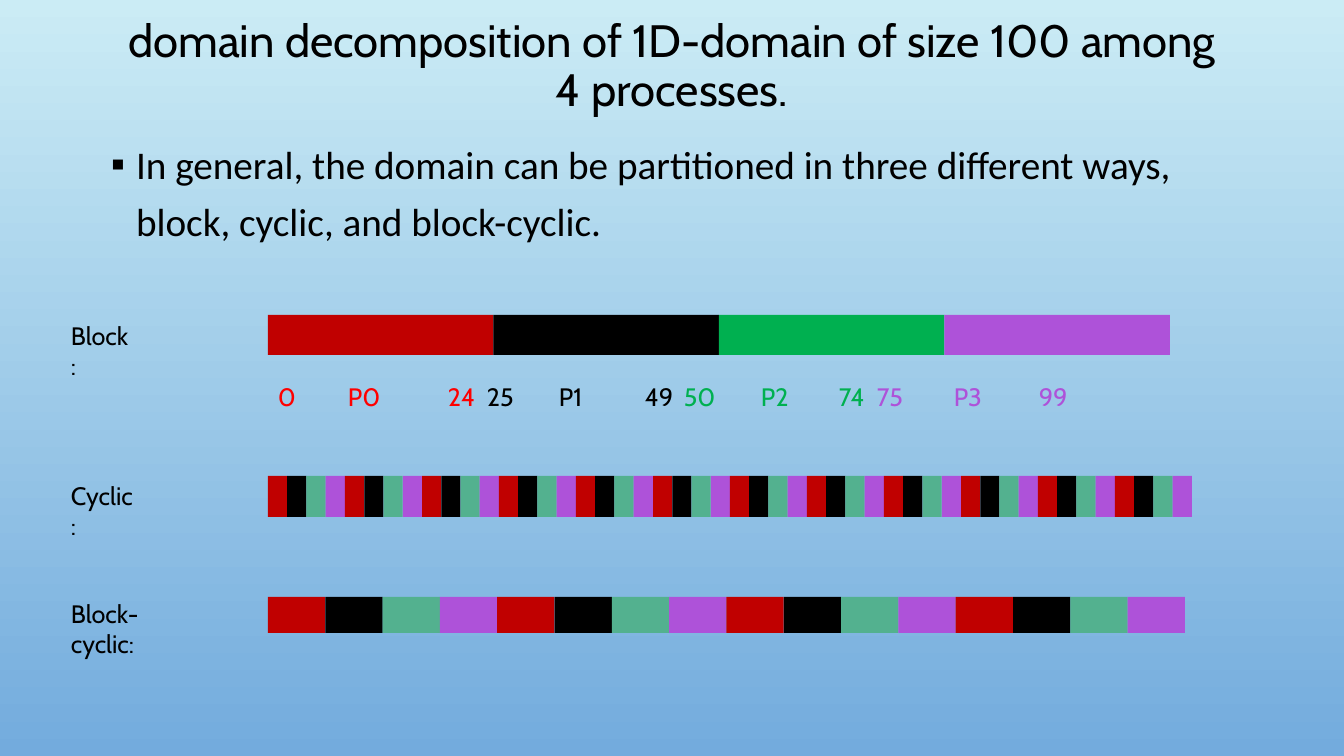
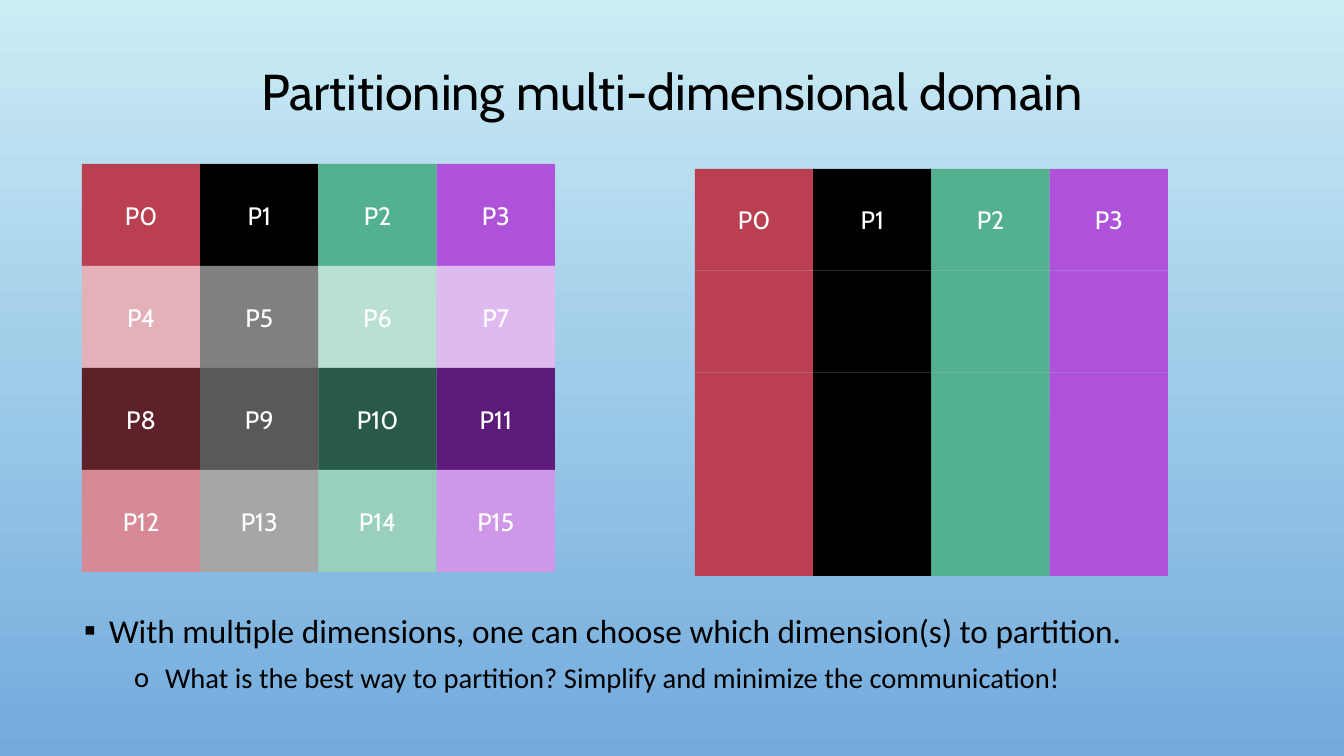
import lxml.etree
import pptx
import pptx.dml.color
import pptx.enum.shapes
import pptx.enum.text
import pptx.oxml.ns
import pptx.util

RGB = pptx.dml.color.RGBColor.from_string
PP_ALIGN = pptx.enum.text.PP_ALIGN
ANCHOR = pptx.enum.text.MSO_ANCHOR
EMU_PER_PX = 914400 / 100.8

SKY_TOP = RGB("CBECF5")
SKY_BOTTOM = RGB("73ABDD")
BLACK = RGB("000000")
WHITE = RGB("FFFFFF")
RED = RGB("FF0000")
DARK_RED = RGB("C00000")
ROSE = RGB("BA3F51")
GREEN = RGB("00B050")
TEAL = RGB("53B18F")
PURPLE = RGB("AE52D9")

BLOCK_COLOURS = [DARK_RED, BLACK, GREEN, PURPLE]
CYCLE_COLOURS = [DARK_RED, BLACK, TEAL, PURPLE]
COLUMN_COLOURS = [ROSE, BLACK, TEAL, PURPLE]
TILE_COLOURS = [
    COLUMN_COLOURS,
    [RGB("E5B1B9"), RGB("808080"), RGB("BAE0D2"), RGB("DFBAF0")],
    [RGB("5D2028"), RGB("595959"), RGB("295948"), RGB("5C1B7B")],
    [RGB("D78A95"), RGB("A6A6A6"), RGB("98D0BC"), RGB("CE97E8")],
]

HEADING_FONT = "Cabin"
BODY_FONT = "Calibri"
LABEL_SIZE = 18
BULLETS = ["▪", "o"]
BULLET_INDENTS = [(25, -25), (81, -31)]
BULLET_SPACE_BEFORE = [10, 5]

RANGES = [
    (RED, "0\tP0\t24\t"),
    (BLACK, "25\tP1\t49\t"),
    (GREEN, "50\tP2\t74\t"),
    (PURPLE, "75\tP3\t99"),
]
RANGE_TABS = [70, 170, 209, 281, 367, 406, 483, 561, 599, 676, 761]


def px(length):
    return pptx.util.Emu(round(length * EMU_PER_PX))


def set_font(paragraph, name, size, colour):
    paragraph.font.name = name
    paragraph.font.size = pptx.util.Pt(size)
    paragraph.font.color.rgb = colour


def add_element(parent, tag, **attributes):
    element = lxml.etree.SubElement(parent, pptx.oxml.ns.qn(tag))
    for key, value in attributes.items():
        element.set(key, str(value))
    return element


def place(placeholder, box):
    left, top, width, height = map(px, box)
    placeholder.left, placeholder.top = left, top
    placeholder.width, placeholder.height = width, height
    placeholder.text_frame.auto_size = pptx.enum.text.MSO_AUTO_SIZE.NONE


def paint_background(master):
    fill = master.background.fill
    fill.gradient()
    fill.gradient_angle = 270
    for stop, position, colour in zip(fill.gradient_stops, (0, 1), (SKY_TOP, SKY_BOTTOM)):
        stop.position = position
        stop.color.rgb = colour


def fill_title(slide, box, text, size):
    title = slide.shapes.title
    place(title, box)
    title.text_frame.vertical_anchor = ANCHOR.MIDDLE
    title.text_frame.text = text
    heading = title.text_frame.paragraphs[0]
    heading.alignment = PP_ALIGN.CENTER
    heading.line_spacing = 0.9
    set_font(heading, HEADING_FONT, size, BLACK)


def fill_bullets(slide, box, points, line_spacing):
    body = slide.placeholders[1]
    place(body, box)
    frame = body.text_frame
    frame.vertical_anchor = ANCHOR.TOP
    frame.text = "\n".join(text for text, size in points)
    for level, (point, (text, size)) in enumerate(zip(frame.paragraphs, points)):
        point.level = level
        point.line_spacing = line_spacing
        point.space_before = pptx.util.Pt(BULLET_SPACE_BEFORE[level])
        properties = point._p.get_or_add_pPr()
        margin, indent = BULLET_INDENTS[level]
        properties.set("marL", str(px(margin)))
        properties.set("indent", str(px(indent)))
        bullet_colour = add_element(properties, "a:buClr")
        add_element(bullet_colour, "a:srgbClr", val=BLACK)
        add_element(properties, "a:buFont", typeface=BODY_FONT)
        add_element(properties, "a:buChar", char=BULLETS[level])
        set_font(point, BODY_FONT, size, BLACK)


def add_text_box(slide, box):
    frame = slide.shapes.add_textbox(*map(px, box)).text_frame
    frame.word_wrap = True
    return frame.paragraphs[0]


def add_row_label(slide, box, text):
    label = add_text_box(slide, box)
    label.text = text
    set_font(label, HEADING_FONT, LABEL_SIZE, BLACK)


def add_ranges(slide, box):
    line = add_text_box(slide, box)
    tabs = add_element(line._p.get_or_add_pPr(), "a:tabLst")
    for position in RANGE_TABS:
        add_element(tabs, "a:tab", pos=px(position), algn="l")
    line.font.name = HEADING_FONT
    line.font.size = pptx.util.Pt(LABEL_SIZE)
    for colour, text in RANGES:
        process = line.add_run()
        process.text = text
        process.font.color.rgb = colour


def add_cell(slide, box, colour, text):
    cell = slide.shapes.add_shape(pptx.enum.shapes.MSO_SHAPE.RECTANGLE, *map(px, box))
    cell.shadow.inherit = False
    cell.fill.solid()
    cell.fill.fore_color.rgb = colour
    cell.line.fill.background()
    if text:
        cell.text_frame.vertical_anchor = ANCHOR.MIDDLE
        label = cell.text_frame.paragraphs[0]
        label.text = text
        label.alignment = PP_ALIGN.CENTER
        set_font(label, HEADING_FONT, LABEL_SIZE, WHITE)


def add_grid(slide, box, colour_rows, labelled_rows=0):
    left, top, width, height = box
    cell_height = height / len(colour_rows)
    for row, colours in enumerate(colour_rows):
        cell_width = width / len(colours)
        for column, colour in enumerate(colours):
            cell_box = (left + column * cell_width, top + row * cell_height,
                        cell_width, cell_height)
            text = f"P{row * len(colours) + column}" if row < labelled_rows else ""
            add_cell(slide, cell_box, colour, text)


def build_one_dimension(slide):
    fill_title(slide, (101, 5, 1142, 124),
               "domain decomposition of 1D-domain of size 100 among 4 processes.", 32.4)
    fill_bullets(slide, (101, 126, 1142, 149), [
        ("In general, the domain can be partitioned in three different ways, "
         "block, cyclic, and block-cyclic.", 28)], 1.2)
    add_row_label(slide, (61, 315, 79, 40), "Block:")
    add_grid(slide, (268, 315, 902, 40), [BLOCK_COLOURS])
    add_ranges(slide, (268, 376, 916, 40))
    add_row_label(slide, (61, 475, 84, 40), "Cyclic:")
    add_grid(slide, (268, 476, 924, 41), [CYCLE_COLOURS * 12])
    add_row_label(slide, (61, 593, 140, 40), "Block-cyclic:")
    add_grid(slide, (268, 597, 917, 36), [CYCLE_COLOURS * 4])


def build_multi_dimension(slide):
    fill_title(slide, (101, 32, 1142, 124), "Partitioning multi-dimensional domain", 36)
    fill_bullets(slide, (74, 601, 1142, 124), [
        ("With multiple dimensions, one can choose which dimension(s) to partition.", 23.8),
        ("What is the best way to partition? Simplify and minimize the communication!", 20.4),
    ], 1.1)
    add_grid(slide, (82, 164, 473, 408), TILE_COLOURS, labelled_rows=4)
    add_grid(slide, (695, 169, 473, 407), [COLUMN_COLOURS] * 4, labelled_rows=1)


def main():
    deck = pptx.Presentation()
    deck.slide_width, deck.slide_height = px(1344), px(756)
    paint_background(deck.slide_master)
    for build in (build_one_dimension, build_multi_dimension):
        build(deck.slides.add_slide(deck.slide_layouts[1]))
    deck.save("out.pptx")


if __name__ == "__main__":
    main()
